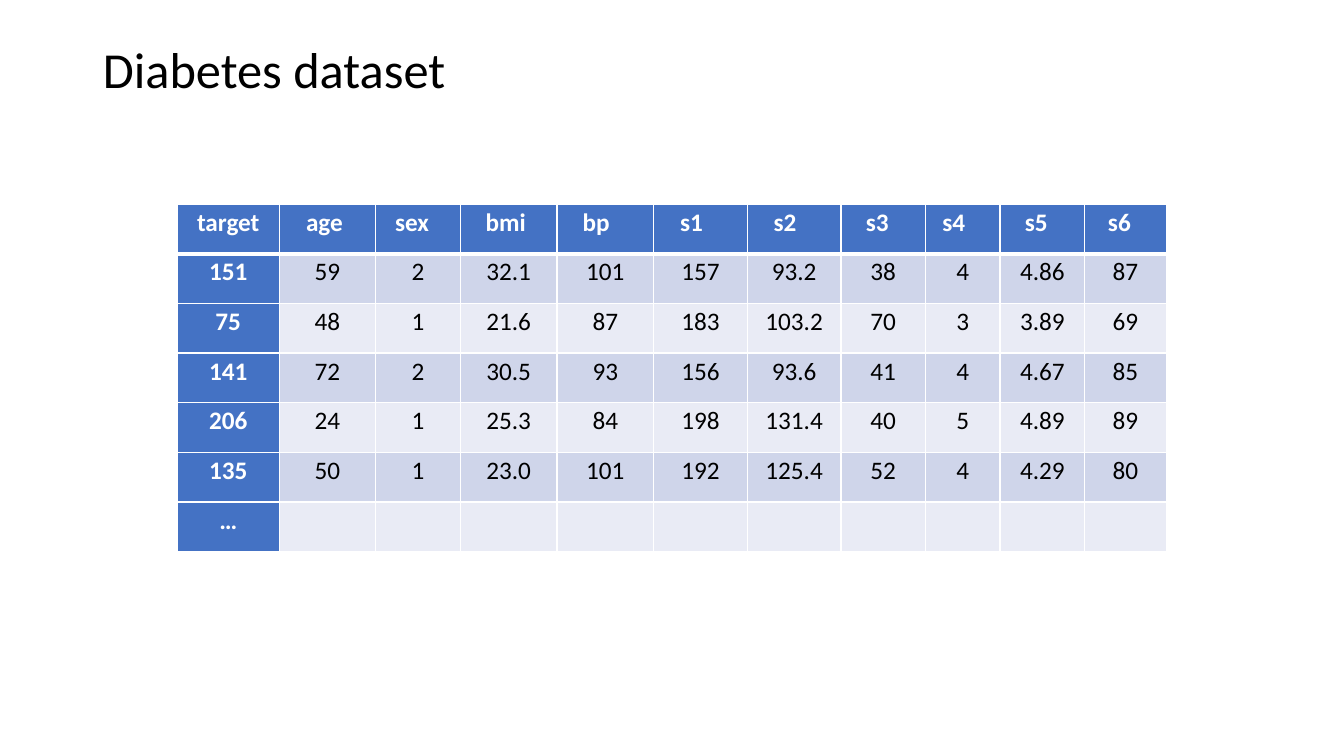
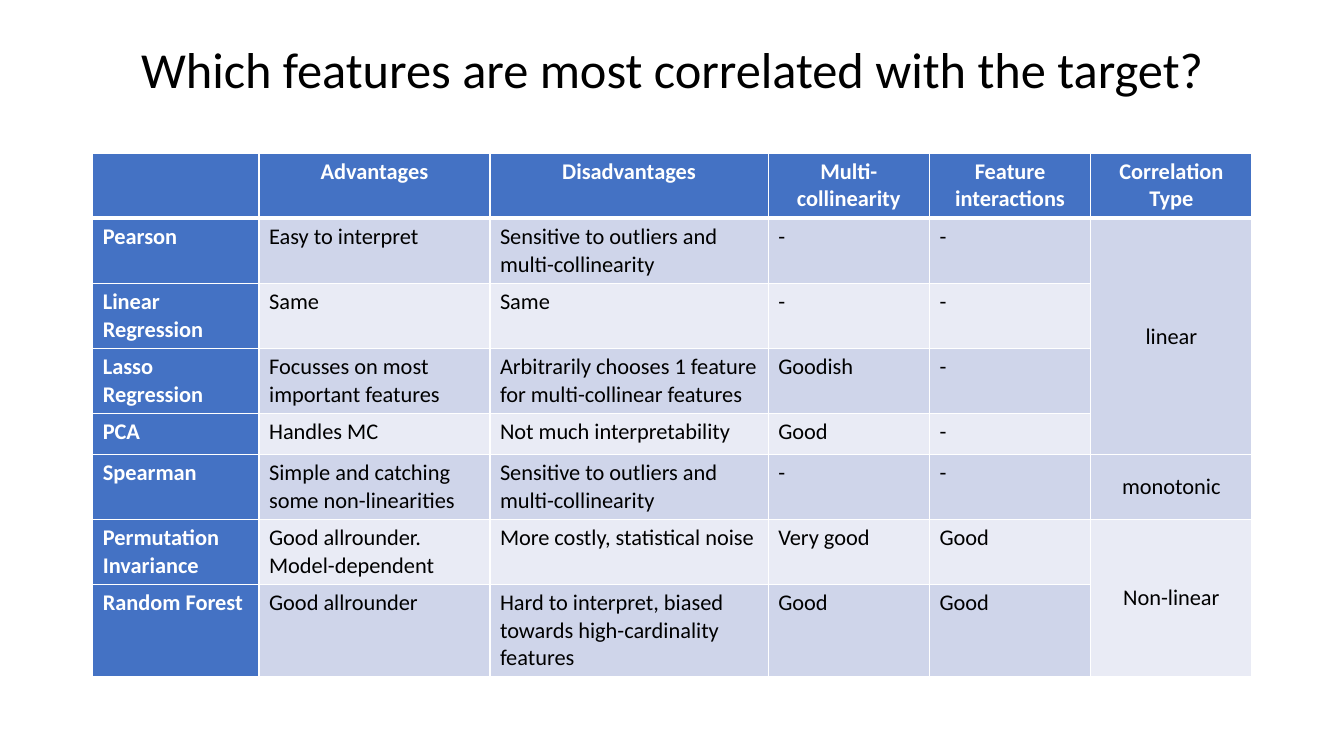
from dataclasses import dataclass

from lxml import etree
from pptx import Presentation
from pptx import util as u
from pptx.dml.color import RGBColor
from pptx.enum import text as t
from pptx.oxml import ns

# Shared look
FONT = "Calibri"
BLACK, WHITE, HEAD = "000000", "FFFFFF", "4472C4"
BANDS = ("CFD5EA", "E9EBF5")
LEFT, MID = t.PP_ALIGN.LEFT, t.PP_ALIGN.CENTER
WIDE, HIGH = u.Inches(13.33), u.Inches(7.5)
SPACE = 0.06  # width of one blank in a heading, in inches


@dataclass
class Title:
    text: str
    width: float  # percent of the slide's width
    align: t.PP_ALIGN


@dataclass
class Grid:
    left: float  # left, width: percent of the slide's width
    top: float  # top, heights: percent of the slide's height
    width: float
    cols: tuple[int, ...]  # relative column widths
    heights: tuple[float, ...]
    rows: list[tuple[str, ...]]
    size: int
    align: t.PP_ALIGN
    inset: tuple[float, float]  # side and top margins of a cell, in inches
    shifts: tuple[int, ...] = ()  # blanks kept to the right of each heading
    merges: tuple[tuple[int, int], ...] = ()  # first and last row, last column


def across(share: float) -> u.Emu:
    return u.Emu(round(WIDE * share / 100))


def down(share: float) -> u.Emu:
    return u.Emu(round(HIGH * share / 100))


def color(code: str) -> RGBColor:
    return RGBColor.from_string(code)


def style(para, size: int, code: str, bold: bool, align: t.PP_ALIGN) -> None:
    para.alignment = align
    for run in para.runs:
        font = run.font
        font.name, font.size, font.bold = FONT, u.Pt(size), bold
        font.color.rgb = color(code)


def border(cell, base: int) -> None:
    """Draw white lines round a cell; base is the width of the lower one."""
    props = cell._tc.get_or_add_tcPr()
    for side, width in zip("LRTB", (1, 1, 1, base)):
        line = etree.SubElement(props, ns.qn(f"a:ln{side}"), w=str(u.Pt(width)))
        fill = etree.SubElement(line, ns.qn("a:solidFill"))
        etree.SubElement(fill, ns.qn("a:srgbClr"), val=WHITE)


def add_title(slide, title: Title) -> None:
    box = slide.shapes.title
    box.left, box.top = across(6.9), down(-0.13)
    box.width, box.height = across(title.width), down(19.33)
    frame = box.text_frame
    frame.text = title.text
    frame.vertical_anchor = t.MSO_ANCHOR.MIDDLE
    frame.paragraphs[0].line_spacing = 0.9
    style(frame.paragraphs[0], 36, BLACK, False, title.align)


def add_grid(slide, grid: Grid) -> None:
    table = slide.shapes.add_table(
        len(grid.rows), len(grid.cols), across(grid.left), down(grid.top),
        across(grid.width), down(sum(grid.heights))).table
    table.first_col = True
    for col, part in zip(table.columns, grid.cols):
        col.width = across(grid.width * part / sum(grid.cols))
    for row, height in zip(table.rows, grid.heights):
        row.height = down(height)

    last = len(grid.cols) - 1
    for r, words in enumerate(grid.rows):
        for c, word in enumerate(words):
            cell = table.cell(r, c)
            key = r == 0 or c == 0
            side, edge = grid.inset
            cell.margin_left = cell.margin_right = u.Inches(side)
            cell.margin_top = cell.margin_bottom = u.Inches(edge)
            if r == 0 and grid.shifts:
                cell.margin_right = u.Inches(side + SPACE * grid.shifts[c])
            border(cell, 1 if r else 3)
            cell.fill.solid()
            cell.fill.fore_color.rgb = color(HEAD if key else BANDS[(r - 1) % 2])
            cell.text_frame.text = word
            kind = c == last and r > 0 and bool(grid.merges)
            if kind:
                cell.vertical_anchor = t.MSO_ANCHOR.MIDDLE
            style(cell.text_frame.paragraphs[0], grid.size, WHITE if key else BLACK,
                  key, MID if r == 0 or kind else grid.align)
    for first, end in grid.merges:
        table.cell(first, last).merge(table.cell(end, last))


# Slide contents
DATA = Grid(
    left=13.2, top=27, width=73.59, size=18, align=MID, inset=(0.03, 0.03),
    cols=(101, 96, 84, 96, 96, 93, 93, 84, 74, 84, 81), heights=(6.57,) * 7,
    shifts=(0, 1, 2, 1, 3, 3, 3, 2, 3, 2, 2),
    rows=[
        ("target", "age", "sex", "bmi", "bp", "s1", "s2", "s3", "s4", "s5", "s6"),
        ("151", "59", "2", "32.1", "101", "157", "93.2", "38", "4", "4.86", "87"),
        ("75", "48", "1", "21.6", "87", "183", "103.2", "70", "3", "3.89", "69"),
        ("141", "72", "2", "30.5", "93", "156", "93.6", "41", "4", "4.67", "85"),
        ("206", "24", "1", "25.3", "84", "198", "131.4", "40", "5", "4.89", "89"),
        ("135", "50", "1", "23.0", "101", "192", "125.4", "52", "4", "4.29", "80"),
        ("…",) + ("",) * 10,
    ])

TESTS = Grid(
    left=6.9, top=20.27, width=86.27, size=16, align=LEFT, inset=(0.1, 0.05),
    cols=(165, 229, 276, 160, 160, 160),
    heights=(8.6, 8.6, 8.6, 8.6, 5.47, 8.6, 8.6, 12.2),
    merges=((1, 4), (6, 7)),
    rows=[
        ("", "Advantages", "Disadvantages", "Multi-collinearity",
         "Feature interactions", "Correlation Type"),
        ("Pearson", "Easy to interpret",
         "Sensitive to outliers and multi-collinearity", "-", "-", "linear"),
        ("Linear Regression", "Same", "Same", "-", "-", ""),
        ("Lasso Regression", "Focusses on most important features",
         "Arbitrarily chooses 1 feature for multi-collinear features",
         "Goodish", "-", ""),
        ("PCA", "Handles MC", "Not much interpretability", "Good", "-", ""),
        ("Spearman", "Simple and catching some non-linearities",
         "Sensitive to outliers and multi-collinearity", "-", "-", "monotonic"),
        ("Permutation Invariance", "Good allrounder. Model-dependent",
         "More costly, statistical noise", "Very good", "Good", "Non-linear"),
        ("Random Forest", "Good allrounder",
         "Hard to interpret, biased towards high-cardinality features",
         "Good", "Good", ""),
    ])

PAGES = (
    (Title("Diabetes dataset", 89.95, LEFT), DATA),
    (Title("Which features are most correlated with the target?", 86.27, MID), TESTS),
)


def main() -> None:
    deck = Presentation()
    deck.slide_width, deck.slide_height = WIDE, HIGH
    for title, grid in PAGES:
        slide = deck.slides.add_slide(deck.slide_layouts.get_by_name("Title Only"))
        add_title(slide, title)
        add_grid(slide, grid)
    deck.save("out.pptx")


if __name__ == "__main__":
    main()
